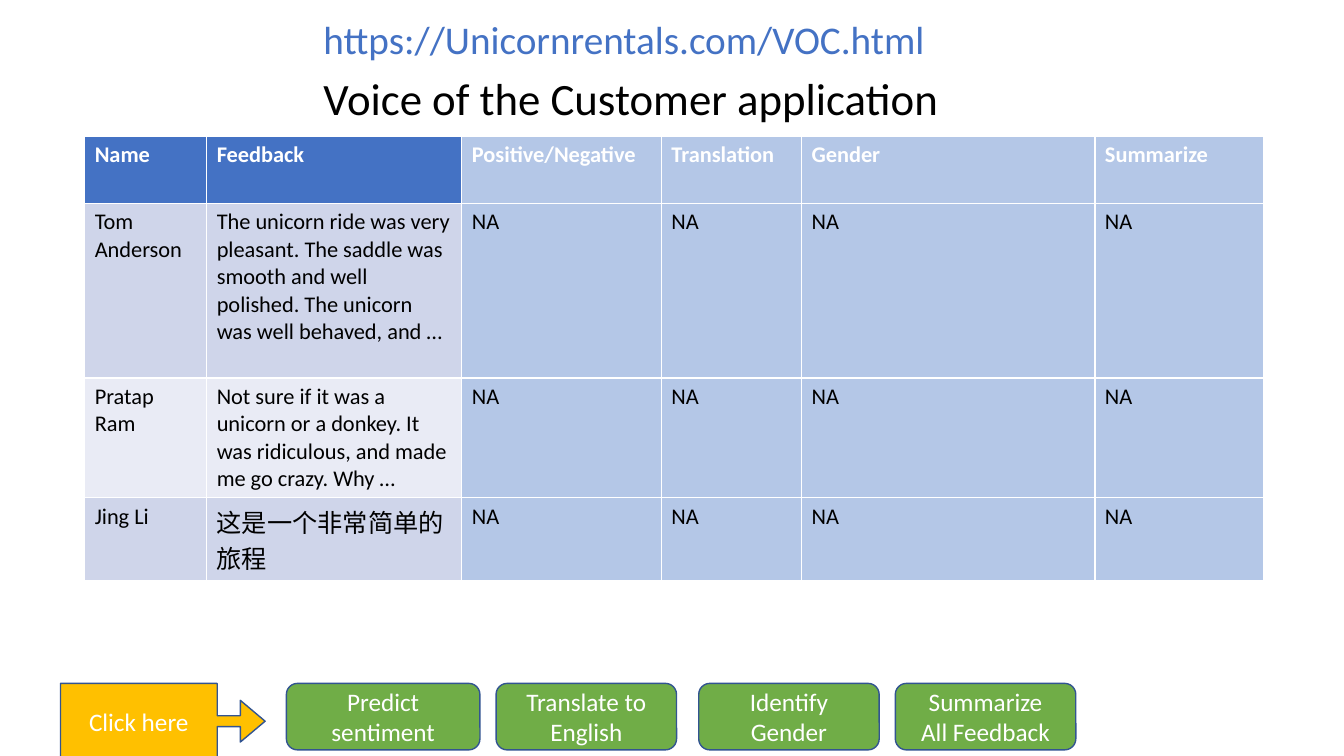
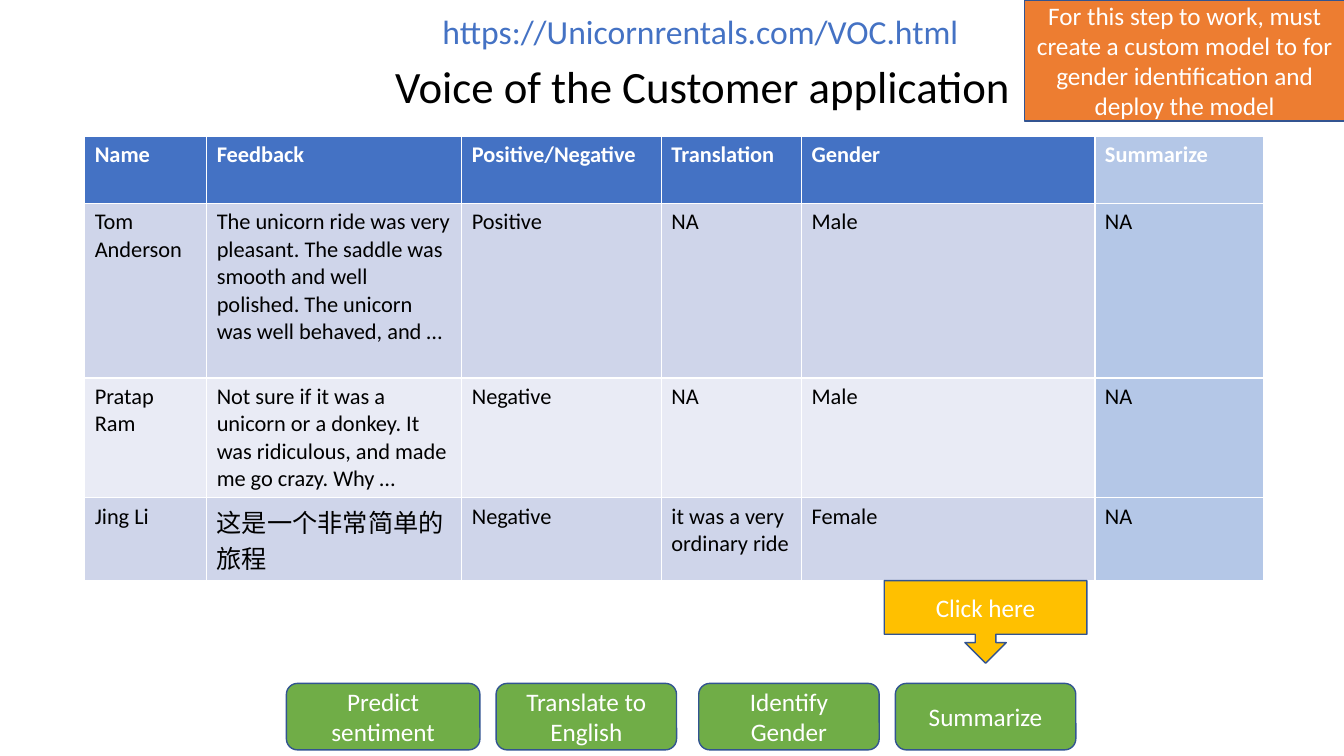
from pptx import Presentation
from pptx.dml.color import RGBColor
from pptx.enum.shapes import MSO_SHAPE
from pptx.enum.text import MSO_ANCHOR, PP_ALIGN
from pptx.util import Inches, Pt

RECT = MSO_SHAPE.RECTANGLE
ROUNDED = MSO_SHAPE.ROUNDED_RECTANGLE
RIGHT_CALLOUT = MSO_SHAPE.RIGHT_ARROW_CALLOUT
DOWN_CALLOUT = MSO_SHAPE.DOWN_ARROW_CALLOUT
MIDDLE = MSO_ANCHOR.MIDDLE
LEFT, CENTER = PP_ALIGN.LEFT, PP_ALIGN.CENTER

WHITE = RGBColor(0xFF, 0xFF, 0xFF)
BLACK = RGBColor(0x00, 0x00, 0x00)
BLUE = RGBColor(0x44, 0x72, 0xC4)
PENDING = RGBColor(0xB4, 0xC7, 0xE7)
BANDS = [RGBColor(0xE9, 0xEB, 0xF5), RGBColor(0xCF, 0xD5, 0xEA)]
GREEN = RGBColor(0x70, 0xAD, 0x47)
GOLD = RGBColor(0xFF, 0xC0, 0x00)
ORANGE = RGBColor(0xED, 0x7D, 0x31)
OUTLINE = RGBColor(0x32, 0x54, 0x91)
FONT = "Calibri"

# Shared content
URL = "https://Unicornrentals.com/VOC.html"
TITLE = "Voice of the Customer application"
HEADER = ["Name", "Feedback", "Positive/Negative", "Translation", "Gender", "Summarize"]
FEEDBACK = [
    ["Tom Anderson", "The unicorn ride was very pleasant. The saddle was smooth and "
                     "well polished. The unicorn was well behaved, and …"],
    ["Pratap Ram", "Not sure if it was a unicorn or a donkey. It was ridiculous, "
                   "and made me go crazy. Why …"],
    ["Jing Li", "这是一个非常简单的旅程"],
]
COL_WIDTHS = [1.21, 2.53, 1.98, 1.39, 2.91, 1.67]
ROW_HEIGHTS = [0.67, 1.73, 1.19, 0.82]
BUTTONS = [(2.84, 1.92, "Predict sentiment"), (4.92, 1.79, "Translate to English"),
           (6.93, 1.79, "Identify Gender")]
BUTTON_TOP, BUTTON_HEIGHT = 6.78, 0.66

# What differs per slide; "done" counts the filled table columns
SLIDES = [
    {"url": (3.11, 0, 8.2, 0.83), "url_size": 28, "title": (3.11, 0.54, 7.89, 0.93),
     "done": 2, "results": [["NA"] * 4] * 3, "last_button": "Summarize\nAll Feedback",
     "callouts": [(RIGHT_CALLOUT, (0.6, 6.78, 2.03, 0.75), GOLD, "Click here",
                   [0.145, 0.276, 0.328, 0.766])]},
    {"url": (4.29, 0, 6.38, 0.67), "url_size": 24, "title": (3.82, 0.56, 7.85, 0.64),
     "done": 5, "last_button": "Summarize",
     "results": [["Positive", "NA", "Male", "NA"], ["Negative", "NA", "Male", "NA"],
                 ["Negative", "it was a very ordinary ride", "Female", "NA"]],
     "callouts": [(RECT, (10.16, 0, 3.18, 1.2), ORANGE,
                   "For this step to work, must create a custom model to for "
                   "gender identification and deploy the model", []),
                  (DOWN_CALLOUT, (8.77, 5.76, 2.01, 0.82), GOLD, "Click here", [])]},
]


def write(tf, text, size=18, color=WHITE, bold=False, align=LEFT, spacing=None):
    tf.word_wrap = True
    for i, line in enumerate(text.split("\n")):
        p = tf.paragraphs[0] if i == 0 else tf.add_paragraph()
        p.alignment = align
        if spacing:
            p.line_spacing = spacing
        r = p.add_run()
        r.text = line
        r.font.name, r.font.size, r.font.bold = FONT, Pt(size), bold
        r.font.color.rgb = color


def add_box(slide, kind, at, fill, text, adjustments=()):
    sp = slide.shapes.add_shape(kind, *map(Inches, at))
    sp.shadow.inherit = False
    sp.fill.solid()
    sp.fill.fore_color.rgb = fill
    sp.line.color.rgb = OUTLINE
    sp.line.width = Pt(1)
    for i, value in enumerate(adjustments):
        sp.adjustments[i] = value
    sp.text_frame.vertical_anchor = MIDDLE
    write(sp.text_frame, text, align=CENTER)


prs = Presentation()
prs.slide_width, prs.slide_height = Inches(13.33), Inches(7.5)

for spec_row in SLIDES:
    slide = prs.slides.add_slide(prs.slide_layouts[6])

    # Title and address
    for at, text, size, color in [(spec_row["title"], TITLE, 32, BLACK),
                                  (spec_row["url"], URL, spec_row["url_size"], BLUE)]:
        tf = slide.shapes.add_textbox(*map(Inches, at)).text_frame
        tf.vertical_anchor = MIDDLE
        write(tf, text, size=size, color=color, spacing=0.9)

    # Feedback table
    rows = [HEADER] + [a + b for a, b in zip(FEEDBACK, spec_row["results"])]
    table = slide.shapes.add_table(len(rows), len(HEADER), Inches(0.84), Inches(1.35),
                                   Inches(sum(COL_WIDTHS)), Inches(sum(ROW_HEIGHTS))).table
    for col, width in zip(table.columns, COL_WIDTHS):
        col.width = Inches(width)
    for i, row in enumerate(rows):
        table.rows[i].height = Inches(ROW_HEIGHTS[i])
        for j, text in enumerate(row):
            cell = table.cell(i, j)
            cell.fill.solid()
            if j >= spec_row["done"]:
                cell.fill.fore_color.rgb = PENDING
            else:
                cell.fill.fore_color.rgb = BLUE if i == 0 else BANDS[i % 2]
            write(cell.text_frame, text, size=18 if (i, j) == (3, 1) else 16,
                  color=WHITE if i == 0 else BLACK, bold=i == 0)

    # Action buttons
    for left, width, text in BUTTONS + [(8.88, 1.79, spec_row["last_button"])]:
        add_box(slide, ROUNDED, (left, BUTTON_TOP, width, BUTTON_HEIGHT), GREEN, text)

    # Callouts
    for kind, at, fill, text, adjustments in spec_row["callouts"]:
        add_box(slide, kind, at, fill, text, adjustments)

prs.save("out.pptx")
